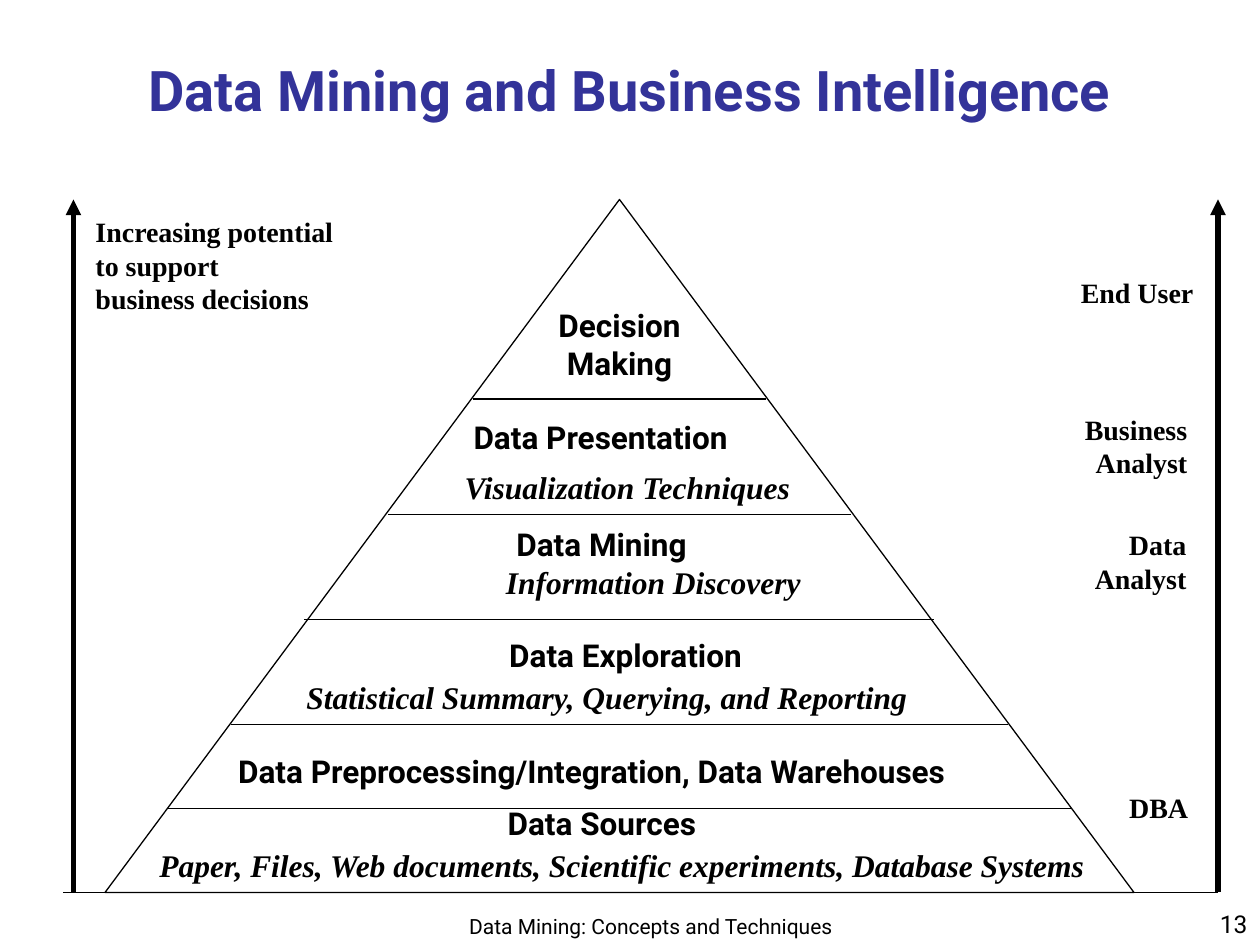
from lxml import etree
from pptx import Presentation
from pptx.dml.color import RGBColor
from pptx.enum.shapes import MSO_CONNECTOR, MSO_SHAPE
from pptx.enum.text import MSO_ANCHOR, MSO_AUTO_SIZE, PP_ALIGN
from pptx.oxml.ns import qn
from pptx.util import Pt

STRAIGHT = MSO_CONNECTOR.STRAIGHT
EXTRACT = MSO_SHAPE.FLOWCHART_EXTRACT
LEFT, CENTER, RIGHT = PP_ALIGN.LEFT, PP_ALIGN.CENTER, PP_ALIGN.RIGHT
TOP, MIDDLE, BOTTOM = MSO_ANCHOR.TOP, MSO_ANCHOR.MIDDLE, MSO_ANCHOR.BOTTOM
SANS, SERIF = "Roboto", "Times New Roman"
COLORS = {"ink": "000000", "title": "333399"}


def color(name):
    return RGBColor.from_string(COLORS[name])


def style(p, size, font, align, bold=False, italic=False, ink="ink"):
    p.alignment = align
    p.font.size = Pt(size)
    p.font.name = font
    p.font.bold = bold
    p.font.italic = italic
    p.font.color.rgb = color(ink)


def add_text(slide, box, lines, size, font, align=LEFT, anchor=TOP, **face):
    sp = slide.shapes.add_textbox(*map(Pt, box))
    tf = sp.text_frame
    tf.word_wrap = True
    tf.vertical_anchor = anchor
    for i, line in enumerate(lines):
        p = tf.add_paragraph() if i else tf.paragraphs[0]
        p.text = line
        style(p, size, font, align, **face)


def add_line(slide, x1, y1, x2, y2, width=0.75, arrow=False):
    line = slide.shapes.add_connector(STRAIGHT, Pt(x1), Pt(y1), Pt(x2), Pt(y2))
    line.line.color.rgb = color("ink")
    line.line.width = Pt(width)
    if arrow:
        etree.SubElement(line.line._get_or_add_ln(), qn("a:tailEnd"), type="triangle")
    etree.SubElement(line._element.spPr, qn("a:effectLst"))


def add_title(slide, box, text):
    sp = slide.shapes.title
    sp.left, sp.top, sp.width, sp.height = map(Pt, box)
    tf = sp.text_frame
    tf.auto_size = MSO_AUTO_SIZE.NONE
    tf.vertical_anchor = MIDDLE
    tf.text = text
    style(tf.paragraphs[0], 32, SANS, CENTER, bold=True, ink="title")


def add_pyramid(slide, box):
    x, y, w, h = box
    sp = slide.shapes.add_shape(EXTRACT, *map(Pt, box))
    sp.shadow.inherit = False
    sp.fill.background()
    sp.line.color.rgb = color("ink")
    sp.line.width = Pt(0.75)

    # Tier dividers: inset from both sides, depth below the apex
    for inset, depth in [(36, 348), (72, 300), (114, 240), (162, 180), (210, 114)]:
        add_line(slide, x + inset, y + depth, x + w - inset, y + depth)

    # Tier names and their techniques: offset, width, text
    names = [
        (246, 57.5, 96, CENTER, "Decision Making"),
        (203.5, 121.5, 179, LEFT, "Data Presentation"),
        (228, 182.5, 140, LEFT, "Data Mining"),
        (205, 246, 185, CENTER, "Data Exploration"),
        (69, 312, 468, LEFT, "Data Preprocessing/Integration, Data Warehouses"),
        (223, 342, 132, LEFT, "Data Sources"),
    ]
    techniques = [
        (198.5, 150, 210, "Visualization Techniques"),
        (222, 204, 190, "Information Discovery"),
        (108, 270, 370, "Statistical Summary, Querying, and Reporting"),
        (24, 366, 561,
         "Paper, Files, Web documents, Scientific experiments, Database Systems"),
    ]
    for dx, dy, width, align, text in names:
        add_text(slide, (x + dx, y + dy, width, 29), [text], 18, SANS, align, bold=True)
    for dx, dy, width, text in techniques:
        add_text(slide, (x + dx, y + dy, width, 29), [text], 18, SERIF,
                 bold=True, italic=True)


def add_support_axis(slide, box):
    x, y, w, h = box
    add_line(slide, x, y + h, x, y, 3, arrow=True)
    add_text(slide, (x + 5.5, y + 5, w - 5.5, 65),
             ["Increasing potential", "to support", "business decisions"],
             16, SERIF, bold=True)


def add_role_axis(slide, box):
    x, y, w, h = box
    right = x + w
    add_line(slide, right, y + h, right, y, 3, arrow=True)
    # Roles: gap to the axis, depth, lines
    roles = [
        (7, 40, ["End User"]),
        (10.5, 118, ["Business", "Analyst"]),
        (11, 184, ["Data", "Analyst"]),
        (10, 334, ["DBA"]),
    ]
    for gap, depth, lines in roles:
        add_text(slide, (right - gap - 84, y + depth, 84, 7.2 + 19.5 * len(lines)),
                 lines, 16, SERIF, RIGHT, bold=True)


def add_footer(slide, box, text, number):
    x, y, w, h = box
    add_text(slide, (x + 258, y + 6, 228, h - 6), [text], 12, SANS, CENTER, BOTTOM)
    add_text(slide, (x + w - 150, y, 150, h), [number], 14, SANS, RIGHT, BOTTOM)


def main():
    prs = Presentation()
    prs.slide_width, prs.slide_height = Pt(720), Pt(540)
    slide = prs.slides.add_slide(prs.slide_layouts[5])
    top, height = 114, 396

    add_title(slide, (18, 30, 684, 42), "Data Mining and Business Intelligence")
    add_pyramid(slide, (60, top, 588, height))
    add_support_axis(slide, (42, top, 158, height))
    add_role_axis(slide, (600, top, 96, height))
    # Ground line under the pyramid and both axes
    add_line(slide, 36, top + height, 696, top + height)
    add_footer(slide, (0, 504, 720, 36), "Data Mining: Concepts and Techniques", "13")
    prs.save("out.pptx")


if __name__ == "__main__":
    main()
